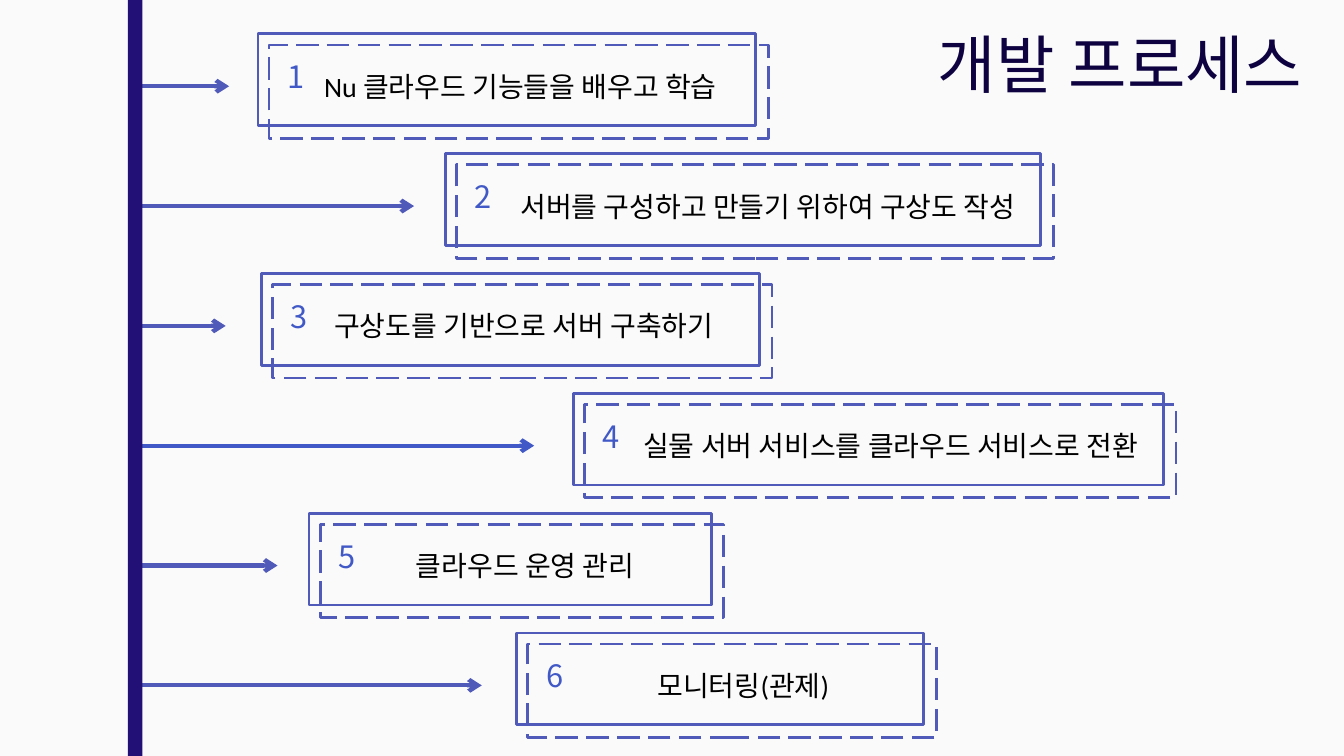
import pptx
import pptx.util
import pptx.dml.color
import pptx.enum.dml
import pptx.enum.shapes
import pptx.enum.text
from lxml import etree
from pptx.oxml.ns import qn
from pptx.util import Cm, Pt

TITLE = "개발 프로세스"
# text, arrow tip, box left, box width, text left, text width (cm)
STEPS = [
    ("Nu 클라우드 기능들을 배우고 학습", 8.66, 9.75, 18.82, 9.83, 19.69),
    ("서버를 구성하고 만들기 위하여 구상도 작성", 15.65, 16.84, 22.5, 19.18, 19.69),
    ("구상도를 기반으로 서버 구축하기", 8.53, 9.88, 18.82, 9.96, 19.69),
    ("실물 서버 서비스를 클라우드 서비스로 전환", 20.19, 21.67, 22.3, 23.37, 20.6),
    ("클라우드 운영 관리", 10.49, 11.68, 15.2, 13.82, 12.07),
    ("모니터링(관제)", 18.21, 19.53, 15.39, 22.56, 11.07),
]
COLORS = {
    "background": "FAFAFA",
    "title": "0E0340",
    "bar": "231076",
    "outline": "505AB8",
    "number": "4159C6",
    "text": "000000",
}
FIRST_TOP, PITCH, BOX_HEIGHT = 1.28, 4.53, 3.47
DASH_OFFSET, DASH_GROWTH = 0.42, 0.06
BAR_LEFT, BAR_WIDTH = 4.83, 0.55


def color(name):
    return pptx.dml.color.RGBColor.from_string(COLORS[name])


def write(shape, text, size, spacing, font, color_name):
    frame = shape.text_frame
    frame.word_wrap = True
    frame.auto_size = pptx.enum.text.MSO_AUTO_SIZE.NONE
    frame.vertical_anchor = pptx.enum.text.MSO_ANCHOR.TOP
    frame.margin_left = frame.margin_right = 0
    frame.margin_top = frame.margin_bottom = 0
    paragraph = frame.paragraphs[0]
    paragraph.text = text
    paragraph.alignment = pptx.enum.text.PP_ALIGN.CENTER
    paragraph.line_spacing = Pt(spacing)
    paragraph.font.size = Pt(size)
    paragraph.font.name = font
    paragraph.font.bold = False
    paragraph.font.color.rgb = color(color_name)


def add_text(slide, left, top, width, height, *style):
    box = slide.shapes.add_textbox(Cm(left), Cm(top), Cm(width), Cm(height))
    write(box, *style)


def add_rectangle(slide, left, top, width, height):
    rectangle = slide.shapes.add_shape(
        pptx.enum.shapes.MSO_SHAPE.RECTANGLE,
        Cm(left), Cm(top), Cm(width), Cm(height))
    rectangle.shadow.inherit = False
    return rectangle


def add_outline(slide, left, top, width, height, dashed=False):
    outline = add_rectangle(slide, left, top, width, height)
    outline.fill.background()
    outline.line.color.rgb = color("outline")
    outline.line.width = Pt(3)
    if dashed:
        outline.line.dash_style = pptx.enum.dml.MSO_LINE.LONG_DASH


def add_arrow(slide, tip, y, color_name):
    """Draw a line from the tip back to the bar, with the arrowhead at the tip."""
    arrow = slide.shapes.add_connector(
        pptx.enum.shapes.MSO_CONNECTOR.STRAIGHT,
        Cm(tip), Cm(y), Cm(BAR_LEFT + BAR_WIDTH), Cm(y))
    arrow.line.color.rgb = color(color_name)
    arrow.line.width = Pt(4.5)
    etree.SubElement(arrow.line._get_or_add_ln(), qn("a:headEnd"), type="arrow")
    etree.SubElement(arrow._element.spPr, qn("a:effectLst"))


def add_step(slide, number, text, tip, left, width, text_left, text_width):
    top = FIRST_TOP + PITCH * (number - 1)
    add_outline(slide, left, top, width, BOX_HEIGHT)
    add_outline(slide, left + DASH_OFFSET, top + DASH_OFFSET,
                width + DASH_GROWTH, BOX_HEIGHT + DASH_GROWTH, dashed=True)
    add_text(slide, text_left, top + 1.34, text_width, 1.32,
             text, 30, 36, "Calibri", "text")
    add_text(slide, left, top + 0.45, 2.87, 1.68,
             str(number), 33, 52.8, "Noto Sans CJK KR", "number")
    add_arrow(slide, tip, top + 1.98, "number" if number == 4 else "outline")


def main():
    presentation = pptx.Presentation()
    presentation.slide_width, presentation.slide_height = Cm(50.8), Cm(28.58)
    slide = presentation.slides.add_slide(presentation.slide_layouts[5])
    slide.background.fill.solid()
    slide.background.fill.fore_color.rgb = color("background")

    title = slide.shapes.title
    title.left, title.top = Cm(32.54), Cm(1.42)
    title.width, title.height = Cm(19.6), Cm(2.54)
    write(title, TITLE, 68, 68, "Calibri", "title")

    for number, step in enumerate(STEPS, start=1):
        add_step(slide, number, *step)

    bar = add_rectangle(slide, BAR_LEFT, 0, BAR_WIDTH, 28.58)
    bar.fill.solid()
    bar.fill.fore_color.rgb = color("bar")
    bar.line.fill.background()

    presentation.save("out.pptx")


if __name__ == "__main__":
    main()
